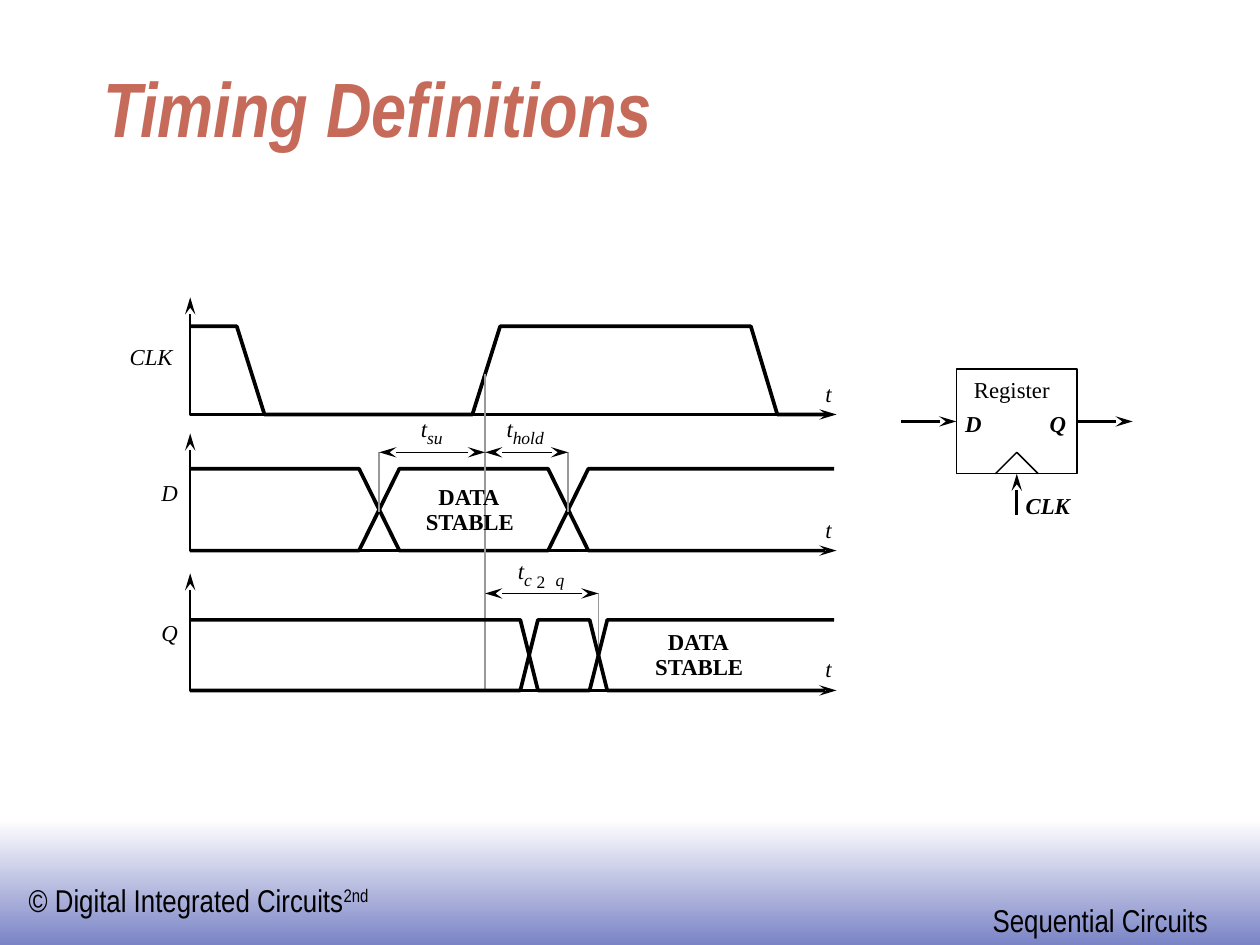
from pptx import Presentation
from pptx.dml.color import RGBColor
from pptx.enum.shapes import MSO_CONNECTOR, MSO_SHAPE
from pptx.enum.text import MSO_ANCHOR
from pptx.oxml.ns import qn
from pptx.util import Inches, Pt
from lxml.etree import SubElement

COLORS = {
    "black": "000000",
    "guide": "999999",
    "title": "C66B5A",
    "band_top": "FFFFFF",
    "band_bottom": "7B84C6",
}
SERIF = {"name": "Times New Roman", "size": Pt(13)}
ITALIC = {**SERIF, "italic": True}
BOLD = {**SERIF, "bold": True}
PIN = {**ITALIC, "bold": True}
SUBSCRIPT = {**ITALIC, "size": Pt(10)}
FOOTER = {"name": "Arial Narrow", "size": Pt(18)}
TITLE = {"name": "Arial Narrow", "size": Pt(44), "bold": True, "italic": True}


def color(key):
    return RGBColor.from_string(COLORS[key])


class TimingSlide:
    thin, axis, arrow, wave = 0.88, 1.25, 1.75, 2.13

    def __init__(self, presentation):
        self.shapes = presentation.slides.add_slide(presentation.slide_layouts[6]).shapes

    def outline(self, shape, width, key="black", heads=()):
        shape.line.color.rgb = color(key)
        shape.line.width = Pt(width)
        ln = shape.line._get_or_add_ln()
        for head in heads:
            SubElement(ln, qn(f"a:{head}"), type="stealth", w="med", len="lg")

    def label(self, text, left, top, width, height=0.22, style=ITALIC,
              key="black", inset=(0, 0), wrap=False, superscript=""):
        box = self.shapes.add_textbox(Inches(left), Inches(top), Inches(width), Inches(height))
        frame = box.text_frame
        horizontal, vertical = map(Inches, inset)
        layout = {
            "word_wrap": wrap,
            "margin_left": horizontal, "margin_right": horizontal,
            "margin_top": vertical, "margin_bottom": vertical,
            "vertical_anchor": MSO_ANCHOR.BOTTOM if wrap else MSO_ANCHOR.TOP,
        }
        for name, value in layout.items():
            setattr(frame, name, value)
        for part in filter(None, (text, superscript)):
            run = frame.paragraphs[0].add_run()
            run.text = part
            run.font.color.rgb = color(key)
            for name, value in style.items():
                setattr(run.font, name, value)
        if superscript:
            run._r.get_or_add_rPr().set("baseline", "30000")

    def path_line(self, points, width, heads=()):
        start, *rest = [(Inches(x), Inches(y)) for x, y in points]
        builder = self.shapes.build_freeform(*start)
        builder.add_line_segments(rest, close=False)
        trace = builder.convert_to_shape()
        trace.shadow.inherit = False
        trace.fill.background()
        self.outline(trace, width, heads=heads)

    def line(self, start, end, width, key="black", heads=()):
        connector = self.shapes.add_connector(
            MSO_CONNECTOR.STRAIGHT, *(Inches(value) for value in (*start, *end)))
        self.outline(connector, width, key, heads)
        SubElement(connector._element.spPr, qn("a:effectLst"))
        return connector

    def rectangle(self, left, top, width, height):
        box = self.shapes.add_shape(
            MSO_SHAPE.RECTANGLE, *(Inches(value) for value in (left, top, width, height)))
        box.shadow.inherit = False
        return box

    def gradient_band(self, left, top, width, height):
        band = self.rectangle(left, top, width, height)
        band.line.fill.background()
        band.fill.gradient()
        band.fill.gradient_angle = 270
        for stop, key in zip(band.fill.gradient_stops, ("band_top", "band_bottom")):
            stop.color.rgb = color(key)

    def axes(self, signal, label_left, label_width, baseline):
        self.path_line([(ORIGIN, baseline - 0.93), (ORIGIN, baseline), (6.64, baseline)],
                       self.axis, ("headEnd", "tailEnd"))
        self.label("t", 6.55, baseline - 0.28, 0.05)
        self.label(signal, label_left, baseline - 0.57, label_width)

    def bus(self, high, low, crossings, half_width):
        for levels, end in (((high, low), 6.62), ((low, high), 6.55)):
            points = [(ORIGIN, levels[0])]
            for index, center in enumerate(crossings):
                points.append((center - half_width, levels[index % 2]))
                points.append((center + half_width, levels[(index + 1) % 2]))
            points.append((end, levels[len(crossings) % 2]))
            self.path_line(points, self.wave)

    def interval(self, start, end, y):
        self.line((start, y), (end, y), self.thin, heads=("headEnd", "tailEnd"))

    def data_stable(self, left, top):
        self.label("DATA", left + 0.1, top, 0.57, style=BOLD)
        self.label("STABLE", left, top + 0.2, 0.75, style=BOLD)

    def register(self, left, top, width, height):
        body = self.rectangle(left, top, width, height)
        body.fill.background()
        self.outline(body, self.thin)
        right, bottom = left + width, top + height
        center, middle = left + width / 2, top + height / 2
        self.path_line([(center + 0.17, bottom), (center, bottom - 0.17),
                        (center - 0.17, bottom)], self.thin)
        data_in = self.line((left - 0.44, middle), (left, middle), self.arrow, heads=["tailEnd"])
        data_in.end_connect(body, 1)
        data_out = self.line((right, middle), (right + 0.44, middle), self.arrow, heads=["tailEnd"])
        data_out.begin_connect(body, 3)
        clock_in = self.line((center, bottom + 0.33), (center, bottom), self.arrow, heads=["tailEnd"])
        clock_in.end_connect(body, 2)
        self.label("Register", left + 0.14, top + 0.05, 0.66, style=SERIF)
        for pin, pin_left, pin_top, pin_width in (
                ("D", 7.66, 3.25, 0.15), ("Q", 8.33, 3.25, 0.15), ("CLK", 8.14, 3.9, 0.39)):
            self.label(pin, pin_left, pin_top, pin_width, style=PIN)


ORIGIN = 1.51
CLK_LOW, D_LOW, Q_LOW = 3.29, 4.37, 5.48
CLOCK_EDGE = 3.85
D_CROSSINGS = (3.01, 4.51)
Q_CROSSINGS = (4.2, 4.75)
D_INTERVAL, Q_INTERVAL = 3.59, 4.71


def main():
    presentation = Presentation()
    presentation.slide_width, presentation.slide_height = Inches(10), Inches(7.5)
    slide = TimingSlide(presentation)

    slide.gradient_band(0, 6.5, 10, 1)
    slide.label("© Digital Integrated Circuits", 0.13, 6.94, 2.93, 0.4,
                FOOTER, inset=(0.1, 0.05), superscript="2nd")
    slide.label("Sequential Circuits", 7.78, 7.1, 1.91, 0.4, FOOTER, inset=(0.1, 0.05))
    slide.label("Timing Definitions", 0.72, 0.48, 8.5, 0.78, TITLE, "title", (0.1, 0.05), True)

    for signal, left, width, baseline in (
            ("CLK", 1.03, 0.4, CLK_LOW), ("D", 1.28, 0.15, D_LOW), ("Q", 1.28, 0.15, Q_LOW)):
        slide.axes(signal, left, width, baseline)

    clk_high = CLK_LOW - 0.7
    slide.path_line([(ORIGIN, clk_high), (1.88, clk_high), (2.1, CLK_LOW), (3.75, CLK_LOW),
                     (3.97, clk_high), (5.96, clk_high), (6.17, CLK_LOW), (6.57, CLK_LOW)],
                    slide.wave)
    slide.bus(D_LOW - 0.65, D_LOW, D_CROSSINGS, 0.16)

    for x, bottom, top in ((D_CROSSINGS[0], 4.06, D_INTERVAL), (D_CROSSINGS[1], 4.06, D_INTERVAL),
                           (CLOCK_EDGE, Q_LOW, 2.97), (Q_CROSSINGS[1], 5.2, Q_INTERVAL)):
        slide.line((x, bottom), (x, top), slide.thin, "guide")
    slide.bus(Q_LOW - 0.56, Q_LOW, Q_CROSSINGS, 0.07)

    slide.interval(D_CROSSINGS[0], CLOCK_EDGE, D_INTERVAL)
    slide.interval(CLOCK_EDGE, D_CROSSINGS[1], D_INTERVAL)
    slide.interval(CLOCK_EDGE, Q_CROSSINGS[1], Q_INTERVAL)

    for subscript, left, top, width in (
            ("su", 3.34, 3.29, 0.13), ("hold", 4.02, 3.29, 0.27), ("c", 4.11, 4.42, 0.06)):
        slide.label("t", left, top, 0.05)
        slide.label(subscript, left + 0.05, top + 0.1, width, 0.17, SUBSCRIPT)
    slide.label("2", 4.26, 4.53, 0.12, 0.17, {**SUBSCRIPT, "italic": False})
    slide.label("q", 4.41, 4.52, 0.08, 0.17, SUBSCRIPT)

    slide.data_stable(3.38, 3.83)
    slide.data_stable(5.2, 4.98)
    slide.register(7.59, 2.93, 0.96, 0.83)
    presentation.save("out.pptx")


if __name__ == "__main__":
    main()
